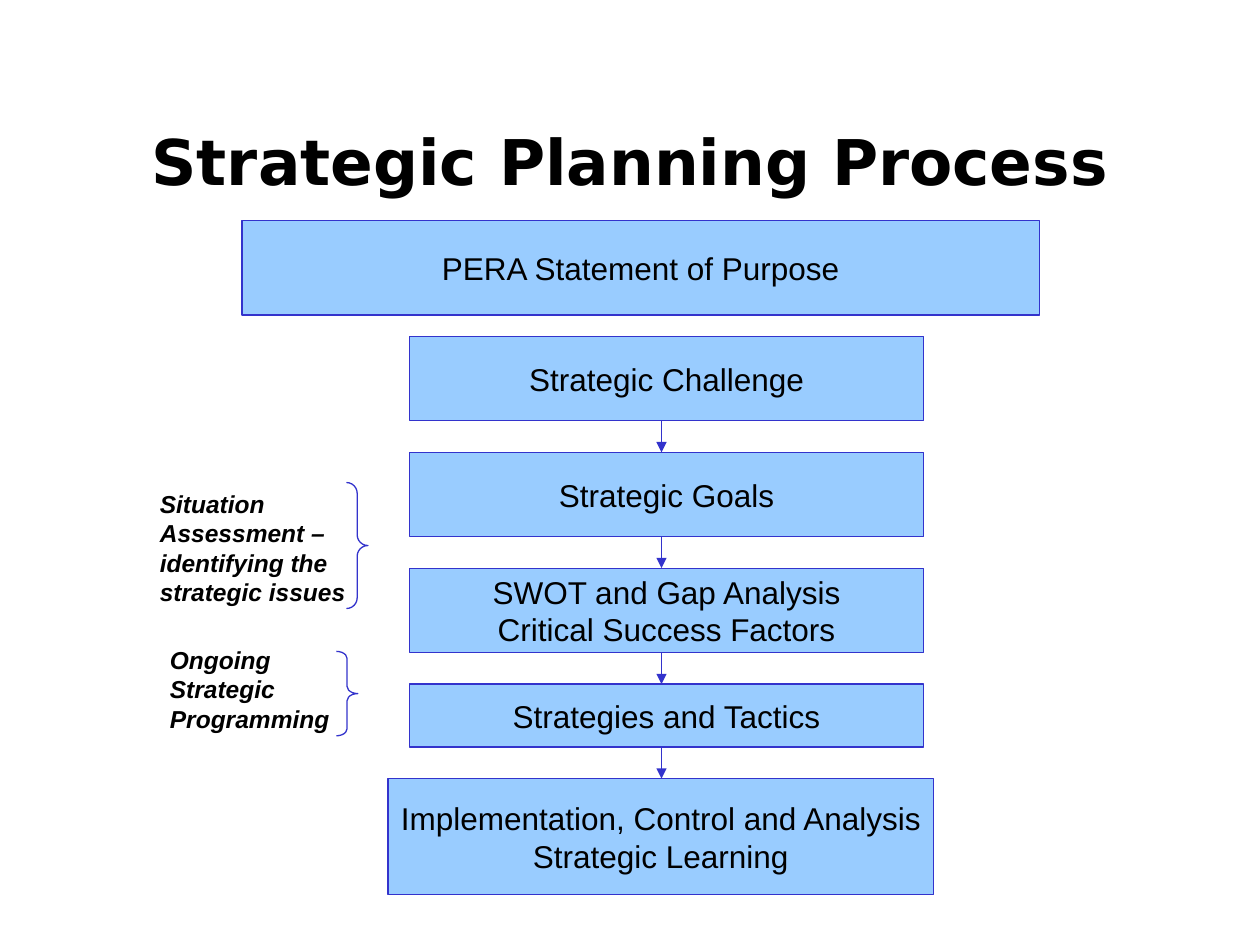
from lxml import etree
from pptx import Presentation
from pptx import util as u
from pptx.dml.color import RGBColor
from pptx.enum import shapes, text
from pptx.oxml.ns import qn

BLACK = RGBColor(0x00, 0x00, 0x00)
SKY = RGBColor(0x99, 0xCC, 0xFF)
BLUE = RGBColor(0x33, 0x33, 0xCC)


def write(frame, words, size=18, font="Arial", bold=False, italic=False,
          align=text.PP_ALIGN.CENTER, anchor=text.MSO_ANCHOR.MIDDLE, wrap=True):
    frame.word_wrap = wrap
    frame.vertical_anchor = anchor
    for i, line in enumerate(words.split("\n")):
        para = frame.paragraphs[0] if i == 0 else frame.add_paragraph()
        para.alignment = align
        run = para.add_run()
        run.text = line
        run.font.size = u.Pt(size)
        run.font.name = font
        run.font.bold = bold
        run.font.italic = italic
        run.font.color.rgb = BLACK


class Chart:
    def __init__(self, slide, fill=SKY, edge=BLUE, width=0.75):
        self.slide = slide
        self.fill = fill
        self.edge = edge
        self.width = u.Pt(width)

    def stroke(self, item):
        item.line.color.rgb = self.edge
        item.line.width = self.width

    def shape(self, kind, left, top, width, height):
        item = self.slide.shapes.add_shape(
            kind, u.Inches(left), u.Inches(top), u.Inches(width), u.Inches(height))
        item.shadow.inherit = False
        self.stroke(item)
        return item

    def box(self, words, *place, kind=shapes.MSO_SHAPE.FLOWCHART_PROCESS):
        item = self.shape(kind, *place)
        item.fill.solid()
        item.fill.fore_color.rgb = self.fill
        write(item.text_frame, words, wrap=False)

    def brace(self, *place, curve):
        item = self.shape(shapes.MSO_SHAPE.RIGHT_BRACE, *place)
        item.fill.background()
        item.adjustments[0] = curve

    def label(self, words, left, top, width, height, **style):
        item = self.slide.shapes.add_textbox(
            u.Inches(left), u.Inches(top), u.Inches(width), u.Inches(height))
        write(item.text_frame, words, **style)

    def arrow(self, x, top, end):
        item = self.slide.shapes.add_connector(
            shapes.MSO_CONNECTOR.STRAIGHT,
            u.Inches(x), u.Inches(top), u.Inches(x), u.Inches(end))
        self.stroke(item)
        etree.SubElement(item.line._get_or_add_ln(), qn("a:tailEnd"), type="triangle")
        etree.SubElement(item._element.spPr, qn("a:effectLst"))


def main():
    deck = Presentation()
    deck.slide_width = u.Inches(10)
    deck.slide_height = u.Inches(7.5)
    chart = Chart(deck.slides.add_slide(deck.slide_layouts[6]))

    chart.label("Strategic Planning Process", 0.75, 0.92, 8.5, 0.71,
                size=36, font="DejaVu Sans", bold=True)
    chart.box("PERA Statement of Purpose", 1.92, 1.75, 6.33, 0.75,
              kind=shapes.MSO_SHAPE.RECTANGLE)

    steps = [
        ("Strategic Challenge", 3.25, 4.08, 0.67),
        ("Strategic Goals", 3.25, 4.08, 0.67),
        ("SWOT and Gap Analysis\nCritical Success Factors", 3.25, 4.08, 0.67),
        ("Strategies and Tactics", 3.25, 4.08, 0.5),
        ("Implementation, Control and Analysis\nStrategic Learning", 3.08, 4.33, 0.92),
    ]
    gap = 0.25
    top = 2.67
    for i, (words, left, width, height) in enumerate(steps):
        if i:
            chart.arrow(5.25, top - gap, top)
        chart.box(words, left, top, width, height)
        top += height + gap

    note = dict(size=14, bold=True, italic=True,
                align=text.PP_ALIGN.LEFT, anchor=text.MSO_ANCHOR.TOP)
    chart.label("Situation Assessment – identifying the strategic issues",
                1.17, 3.83, 1.68, 1.04, **note)
    chart.label("Ongoing Strategic Programming", 1.25, 5.07, 1.75, 1.27, **note)
    chart.brace(2.75, 3.83, 0.17, 1, curve=0.5)
    chart.brace(2.67, 5.17, 0.17, 0.67, curve=0.33)

    deck.save("out.pptx")


if __name__ == "__main__":
    main()
